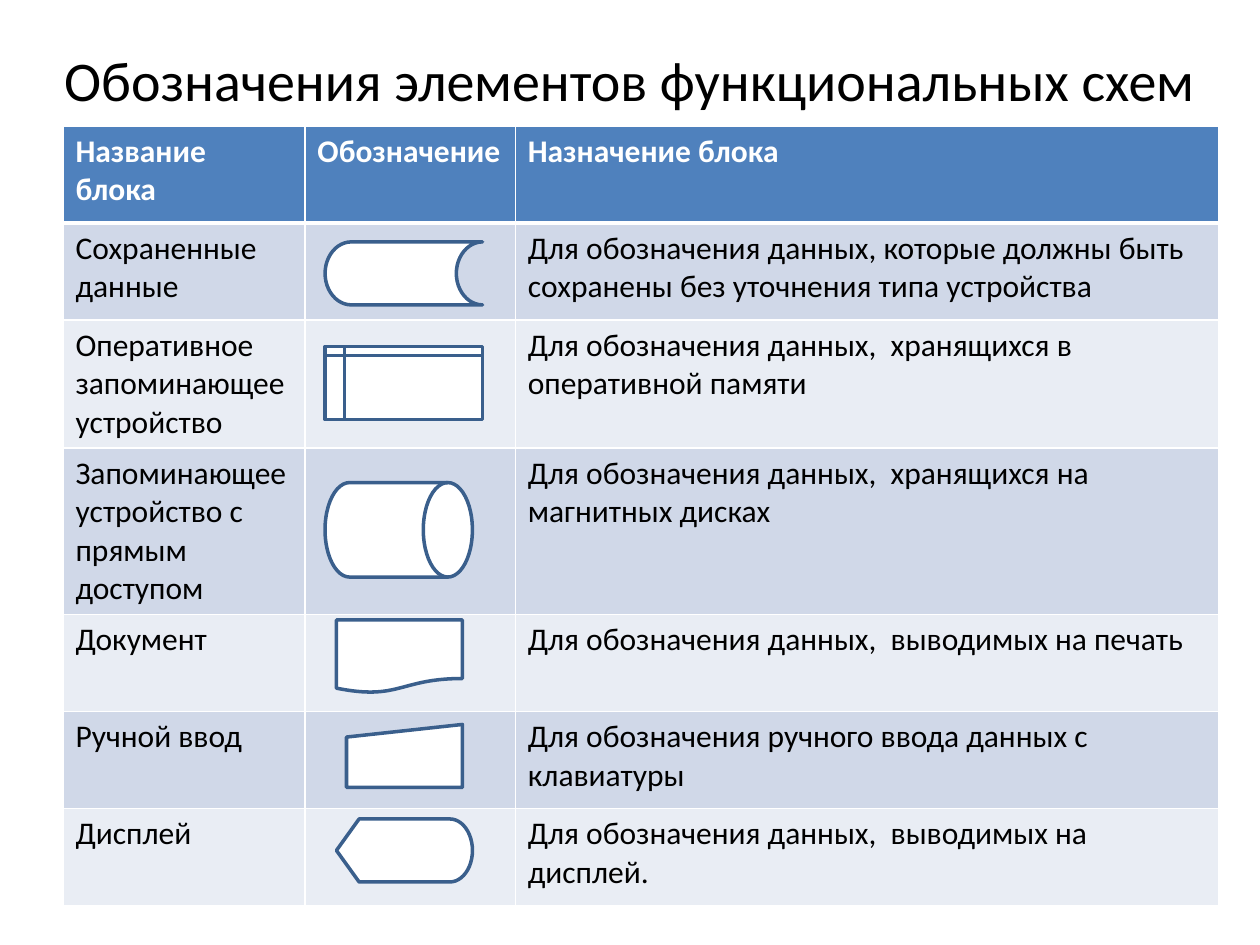
import lxml.etree
import pptx
import pptx.dml.color
import pptx.enum.shapes
import pptx.enum.text
import pptx.oxml.ns
import pptx.util

Inches = pptx.util.Inches
Pt = pptx.util.Pt
MSO = pptx.enum.shapes.MSO_SHAPE
qn = pptx.oxml.ns.qn

FONT = "Calibri"
COLORS = {
    "text": "000000",
    "white": "FFFFFF",
    "header": "4F81BD",
    "odd": "D0D8E8",
    "even": "E9EDF4",
    "outline": "3A5F8C",
}
COL_WIDTHS = [1.92, 1.67, 5.58]
ROW_HEIGHT = 0.77
ROWS = [
    ("Название блока", "Обозначение", "Назначение блока"),
    ("Сохраненные данные", "",
     "Для обозначения данных, которые должны быть сохранены без уточнения типа устройства"),
    ("Оперативное запоминающее устройство", "",
     "Для обозначения данных,  хранящихся в оперативной памяти"),
    ("Запоминающее устройство с прямым доступом", "",
     "Для обозначения данных,  хранящихся на магнитных дисках"),
    ("Документ", "", "Для обозначения данных,  выводимых на печать"),
    ("Ручной ввод", "", "Для обозначения ручного ввода данных с клавиатуры"),
    ("Дисплей", "", "Для обозначения данных,  выводимых на дисплей."),
]
SYMBOLS = [
    (MSO.FLOWCHART_STORED_DATA, (2.58, 1.92, 1.25, 0.5)),
    (MSO.FLOWCHART_INTERNAL_STORAGE, (2.58, 2.75, 1.25, 0.58)),
    (MSO.FLOWCHART_DIRECT_ACCESS_STORAGE, (2.58, 3.83, 1.17, 0.75)),
    (MSO.FLOWCHART_DOCUMENT, (2.67, 4.92, 1, 0.58)),
    (MSO.FLOWCHART_MANUAL_INPUT, (2.75, 5.75, 0.92, 0.5)),
    (MSO.FLOWCHART_DISPLAY, (2.67, 6.5, 1.08, 0.5)),
]


def rgb(name):
    """Return the named colour."""
    return pptx.dml.color.RGBColor.from_string(COLORS[name])


def add_run(p, text, size, color, bold=False):
    """Add one formatted run to a paragraph."""
    r = p.add_run()
    r.text = text
    r.font.name = FONT
    r.font.size = Pt(size)
    r.font.bold = bold
    r.font.color.rgb = rgb(color)


def set_borders(cell, bottom):
    """Give a cell white borders, with its own bottom width in points."""
    tc_pr = cell._tc.get_or_add_tcPr()
    for side, width in (("L", 1), ("R", 1), ("T", 1), ("B", bottom)):
        ln = lxml.etree.SubElement(tc_pr, qn(f"a:ln{side}"), w=str(Pt(width)))
        fill = lxml.etree.SubElement(ln, qn("a:solidFill"))
        lxml.etree.SubElement(fill, qn("a:srgbClr"), val=COLORS["white"])


def add_title(s, box, text):
    """Place the slide title in the box."""
    sp = s.shapes.title
    sp.left, sp.top, sp.width, sp.height = map(Inches, box)
    tf = sp.text_frame
    tf.vertical_anchor = pptx.enum.text.MSO_ANCHOR.MIDDLE
    p = tf.paragraphs[0]
    p.alignment = pptx.enum.text.PP_ALIGN.CENTER
    add_run(p, text, 32, "text")


def add_block_table(s, left, top):
    """Place the table of block names and purposes."""
    table = s.shapes.add_table(
        len(ROWS), len(COL_WIDTHS), Inches(left), Inches(top),
        Inches(sum(COL_WIDTHS)), Inches(ROW_HEIGHT * len(ROWS))).table
    for col, width in zip(table.columns, COL_WIDTHS):
        col.width = Inches(width)
    for i, texts in enumerate(ROWS):
        table.rows[i].height = Inches(ROW_HEIGHT)
        header = i == 0
        fill = "header" if header else ("even", "odd")[i % 2]
        for j, text in enumerate(texts):
            cell = table.cell(i, j)
            set_borders(cell, 3 if header else 1)
            cell.fill.solid()
            cell.fill.fore_color.rgb = rgb(fill)
            if text:
                add_run(cell.text_frame.paragraphs[0], text, 18,
                        "white" if header else "text", header)


def add_symbol(s, kind, box):
    """Place one outlined flowchart symbol in the box."""
    sp = s.shapes.add_shape(kind, *map(Inches, box))
    sp.shadow.inherit = False
    sp.fill.solid()
    sp.fill.fore_color.rgb = rgb("white")
    sp.line.color.rgb = rgb("outline")
    sp.line.width = Pt(2)


def main():
    """Build and save the slide."""
    prs = pptx.Presentation()
    prs.slide_width, prs.slide_height = Inches(10), Inches(7.5)
    s = prs.slides.add_slide(prs.slide_layouts[5])
    add_title(s, (0.25, 0, 9.5, 1.25), "Обозначения элементов функциональных схем")
    add_block_table(s, 0.5, 1)
    for kind, box in SYMBOLS:
        add_symbol(s, kind, box)
    prs.save("out.pptx")


if __name__ == "__main__":
    main()
